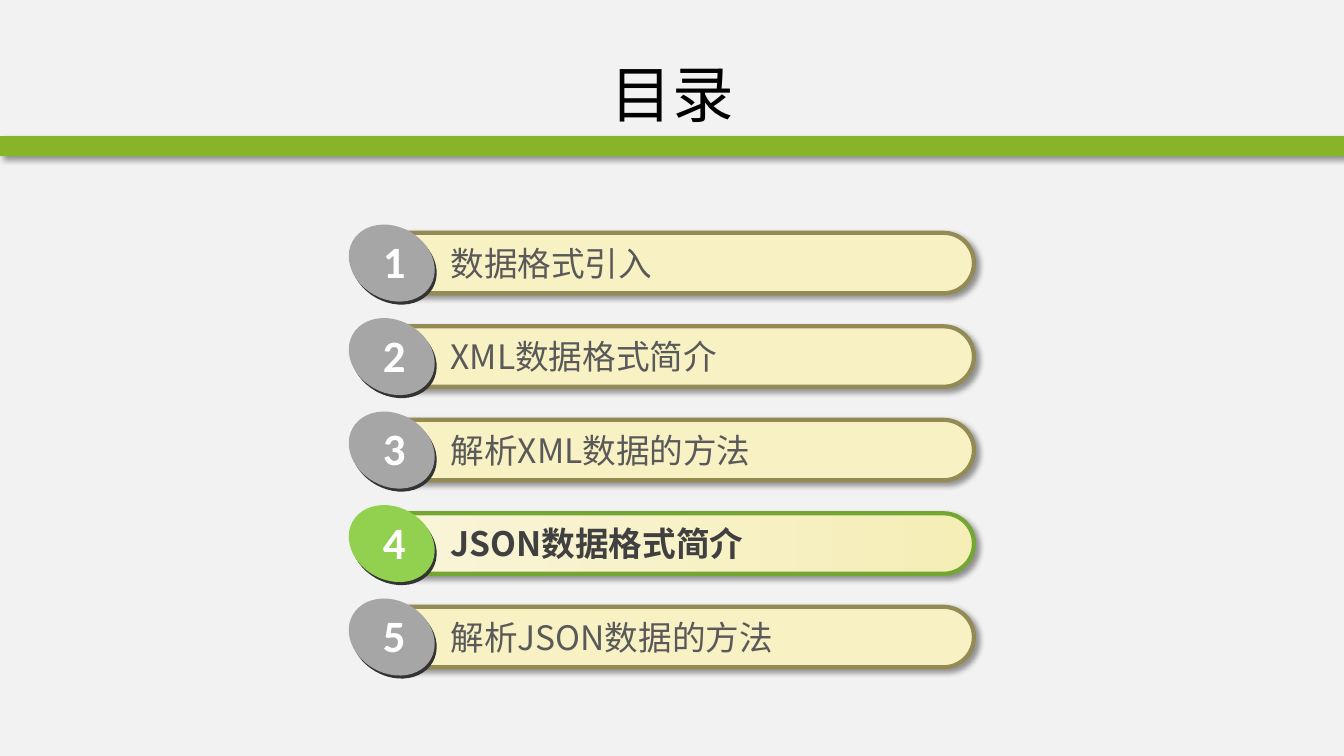
from lxml.etree import SubElement
from pptx import Presentation
from pptx.dml.color import RGBColor
from pptx.enum.shapes import MSO_SHAPE as Preset
from pptx.enum.text import MSO_ANCHOR as Anchor, MSO_AUTO_SIZE as AutoSize, PP_ALIGN as Align
from pptx.oxml.ns import qn
from pptx.util import Inches, Pt

TITLE = "目录"
ENTRIES = [
    "数据格式引入",
    "XML数据格式简介",
    "解析XML数据的方法",
    "JSON数据格式简介",
    "解析JSON数据的方法",
]
CURRENT = 4

THEME = {
    "background": "F2F2F2", "band": "88B429", "title": "000000",
    "shadow": "000000", "badge_edge": "333333", "number": "FFFFFF",
    "text_font": "Noto Sans CJK SC", "number_font": "Calibri",
    "title_size": 44, "entry_size": 24, "number_size": 32, "outline": 3,
    "normal": {"bar": ["F7F1C4"], "line": "948A54", "text": "595959", "badge": "A6A6A6"},
    "current": {"bar": ["F9F5D9", "F5EEB7"], "line": "74A731", "text": "404040",
                "badge": "92D050"},
}

FIRST_TOP, LAST_TOP = 2.31, 6.02
PITCH = (LAST_TOP - FIRST_TOP) / (len(ENTRIES) - 1)
BADGE_SIZE, BADGE_TILT = (0.89, 0.72), 29.3


def color(name):
    return RGBColor.from_string(name)


def add_shape(parent, preset, box, fills, outline=None):
    """Add a shape with a plain fill, or a left-to-right gradient for two colours."""
    shape = parent.add_shape(preset, *map(Inches, box))
    if len(fills) == 1:
        shape.fill.solid()
        shape.fill.fore_color.rgb = color(fills[0])
    else:
        shape.fill.gradient()
        shape.fill.gradient_angle = 0
        for stop, fill in zip(shape.fill.gradient_stops, fills):
            stop.color.rgb = color(fill)
    if outline:
        shape.line.color.rgb = color(outline)
        shape.line.width = Pt(THEME["outline"])
    else:
        shape.line.fill.background()
    shape.shadow.inherit = False
    return shape


def add_shadow(shape):
    effects = shape._element.spPr.find(qn("a:effectLst"))
    shadow = SubElement(effects, qn("a:outerShdw"), blurRad=str(Pt(4)), dist=str(Pt(3)),
                        dir=str(45 * 60000), algn="tl", rotWithShape="0")
    shade = SubElement(shadow, qn("a:srgbClr"), val=THEME["shadow"])
    SubElement(shade, qn("a:alpha"), val="40000")


def add_text(parent, box, text, size, ink, font_name, bold=False, wrap=True):
    text_box = parent.add_textbox(*map(Inches, box))
    frame = text_box.text_frame
    frame.word_wrap = wrap
    frame.auto_size = AutoSize.SHAPE_TO_FIT_TEXT
    run = frame.paragraphs[0].add_run()
    run.text = text
    run.font.size = Pt(size)
    run.font.bold = bold
    run.font.color.rgb = color(ink)
    run.font.name = font_name
    SubElement(run.font._element, qn("a:ea"), typeface=font_name)
    return frame


def add_entry(slide, number, text):
    top = FIRST_TOP + (number - 1) * PITCH
    is_current = number == CURRENT
    style = THEME["current" if is_current else "normal"]
    shapes = slide.shapes.add_group_shape().shapes

    bar = add_shape(shapes, Preset.ROUNDED_RECTANGLE, (3.66, top, 6, 0.6),
                    style["bar"], style["line"])
    bar.adjustments[0] = 0.5
    add_shadow(bar)
    add_text(shapes, (4.37, top + 0.05, 5.09, 0.5), text, THEME["entry_size"],
             style["text"], THEME["text_font"], bold=is_current)

    for left, rise, fill in ((3.46, 0.03, THEME["badge_edge"]), (3.44, 0.06, style["badge"])):
        badge = add_shape(shapes, Preset.OVAL, (left, top - rise, *BADGE_SIZE), [fill])
        badge.rotation = BADGE_TILT
    add_text(shapes, (3.7, top - 0.04, 0.43, 0.64), str(number), THEME["number_size"],
             THEME["number"], THEME["number_font"], bold=True, wrap=False)


def main():
    presentation = Presentation()
    presentation.slide_width, presentation.slide_height = Inches(13.33), Inches(7.5)
    slide = presentation.slides.add_slide(presentation.slide_layouts[6])
    slide.background.fill.solid()
    slide.background.fill.fore_color.rgb = color(THEME["background"])

    add_shadow(add_shape(slide.shapes, Preset.RECTANGLE, (0, 1.35, 13.33, 0.2),
                         [THEME["band"]]))
    title = add_text(slide.shapes, (0.67, 0.3, 12, 1.25), TITLE, THEME["title_size"],
                     THEME["title"], THEME["text_font"])
    title.auto_size = AutoSize.NONE
    title.vertical_anchor = Anchor.MIDDLE
    title.paragraphs[0].alignment = Align.CENTER

    for number, text in enumerate(ENTRIES, start=1):
        add_entry(slide, number, text)
    presentation.save("out.pptx")


if __name__ == "__main__":
    main()
